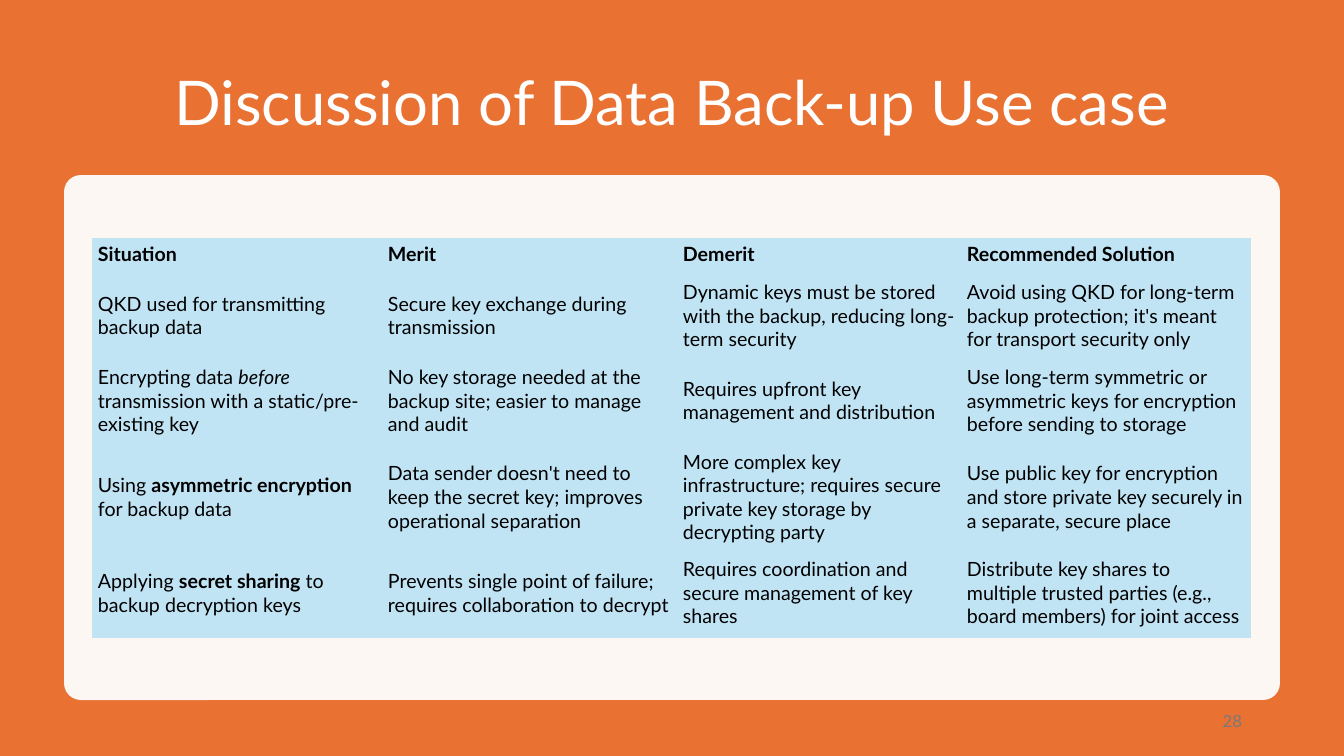
"""Builds the slide comparing key management situations for data back-up."""
import pptx
import pptx.dml.color
import pptx.enum.shapes
import pptx.enum.text
import pptx.oxml.ns
import pptx.util

PX = 12192000 / 1344
COLORS = {
    "orange": "E97132",
    "white": "FFFFFF",
    "blue": "C1E4F5",
    "black": "000000",
    "gray": "797979",
}
ALIGN = pptx.enum.text.PP_ALIGN
MIDDLE = pptx.enum.text.MSO_ANCHOR.MIDDLE
SHAPES = pptx.enum.shapes.MSO_SHAPE


def px(*lengths):
    return [pptx.util.Emu(round(length * PX)) for length in lengths]


def add_run(paragraph, text, size, color, style=""):
    run = paragraph.add_run()
    run.text = text
    run.font.name = "Lato"
    run.font.size = pptx.util.Pt(size)
    run.font.bold = style == "bold"
    run.font.italic = style == "italic"
    run.font.color.rgb = pptx.dml.color.RGBColor.from_string(COLORS[color])


deck = pptx.Presentation()
deck.slide_width, deck.slide_height = px(1344, 756)
slide = deck.slides.add_slide(deck.slide_layouts[6])

panels = [
    (SHAPES.RECTANGLE, (0, 0, 1344, 756), "orange"),
    (SHAPES.ROUNDED_RECTANGLE, (64, 175, 1216, 525), "white"),
]
for outline, box, color in panels:
    panel = slide.shapes.add_shape(outline, *px(*box))
    panel.shadow.inherit = False
    panel.fill.solid()
    panel.fill.fore_color.rgb = pptx.dml.color.RGBColor.from_string(COLORS[color])
    panel.line.fill.background()
panel.adjustments[0] = 0.032
panel_color = panel.fill._xPr.find(".//" + pptx.oxml.ns.qn("a:srgbClr"))
alpha = pptx.oxml.parse_xml(f'<a:alpha {pptx.oxml.ns.nsdecls("a")} val="95000"/>')
panel_color.append(alpha)

labels = [
    ("Discussion of Data Back-up Use case", (92, 50, 1160, 111), 44, "white", ALIGN.CENTER, 0.9),
    ("28", (950, 701, 302, 40), 12, "gray", ALIGN.RIGHT, 1.0),
]
for text, box, size, color, alignment, spacing in labels:
    label = slide.shapes.add_textbox(*px(*box)).text_frame
    label.word_wrap = True
    label.vertical_anchor = MIDDLE
    line = label.paragraphs[0]
    line.alignment = alignment
    line.line_spacing = spacing
    add_run(line, text, size, color)

comparison = [
    [
        [("Situation", "bold")],
        [("Merit", "bold")],
        [("Demerit", "bold")],
        [("Recommended Solution", "bold")],
    ],
    [
        [("QKD used for transmitting backup data", "")],
        [("Secure key exchange during transmission", "")],
        [("Dynamic keys must be stored with the backup, reducing long-term security", "")],
        [("Avoid using QKD for long-term backup protection; it's meant for transport security only", "")],
    ],
    [
        [("Encrypting data ", ""), ("before", "italic"), (" transmission with a static/pre-existing key", "")],
        [("No key storage needed at the backup site; easier to manage and audit", "")],
        [("Requires upfront key management and distribution", "")],
        [("Use long-term symmetric or asymmetric keys for encryption before sending to storage", "")],
    ],
    [
        [("Using ", ""), ("asymmetric encryption", "bold"), (" for backup data", "")],
        [("Data sender doesn't need to keep the secret key; improves operational separation", "")],
        [("More complex key infrastructure; requires secure private key storage by decrypting party", "")],
        [("Use public key for encryption and store private key securely in a separate, secure place", "")],
    ],
    [
        [("Applying ", ""), ("secret sharing", "bold"), (" to backup decryption keys", "")],
        [("Prevents single point of failure; requires collaboration to decrypt", "")],
        [("Requires coordination and secure management of key shares", "")],
        [("Distribute key shares to multiple trusted parties (e.g., board members) for joint access", "")],
    ],
]
column_widths = [290, 295, 284, 290]
row_heights = [38, 85, 85, 108, 84]
table_box = px(92, 238, sum(column_widths), sum(row_heights))
table = slide.shapes.add_table(len(row_heights), len(column_widths), *table_box).table
table.horz_banding = False
style_id = table._tbl.tblPr.find(pptx.oxml.ns.qn("a:tableStyleId"))
style_id.text = "{2D5ABB26-0587-4C30-8999-92F81FD0307C}"

for column, width in zip(table.columns, px(*column_widths)):
    column.width = width
for row, height, entries in zip(table.rows, px(*row_heights), comparison):
    row.height = height
    for cell, pieces in zip(row.cells, entries):
        cell.fill.solid()
        cell.fill.fore_color.rgb = pptx.dml.color.RGBColor.from_string(COLORS["blue"])
        cell.vertical_anchor = MIDDLE
        cell.margin_left, cell.margin_top, cell.margin_right, cell.margin_bottom = px(6, 3, 6, 9)
        for text, style in pieces:
            add_run(cell.text_frame.paragraphs[0], text, 14, "black", style)

deck.save("out.pptx")
